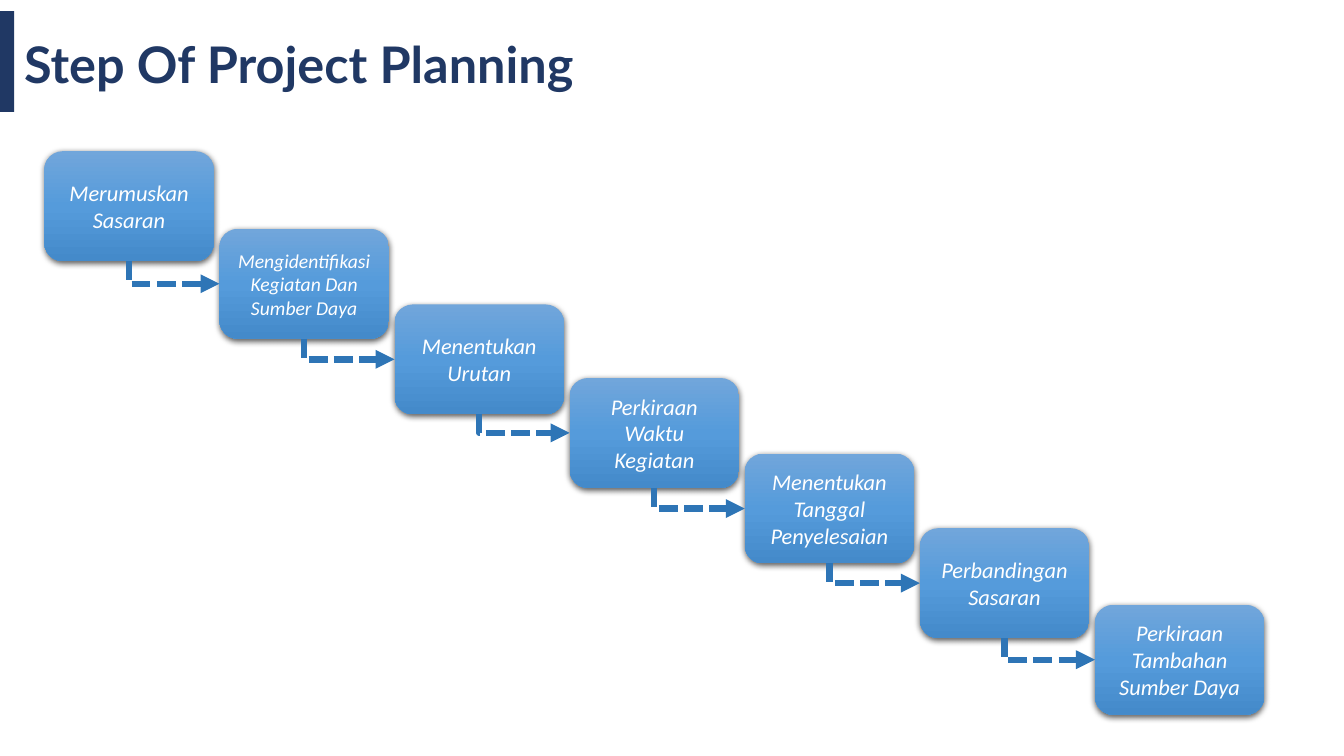
from itertools import pairwise

from lxml.etree import SubElement
from pptx import Presentation
from pptx.dml.color import RGBColor
from pptx.enum.dml import MSO_LINE
from pptx.enum.shapes import MSO_CONNECTOR, MSO_SHAPE
from pptx.enum.text import MSO_ANCHOR as ANCHOR, PP_ALIGN as ALIGN
from pptx.oxml.ns import qn
from pptx.util import Inches, Pt

COLORS = {"navy": "203864", "white": "FFFFFF", "arrow": "2E75B6", "shadow": "000000"}
BOX_GRADIENT = {0: "71A6DB", 50: "559BDB", 100: "448ACA"}

# Top edge, text size and wording of each step
STEPS = [
    (1.5, 16, "Merumuskan Sasaran"),
    (2.27, 14, "Mengidentifikasi Kegiatan Dan Sumber Daya"),
    (3.02, 16, "Menentukan Urutan"),
    (3.75, 16, "Perkiraan Waktu Kegiatan"),
    (4.5, 16, "Menentukan Tanggal Penyelesaian"),
    (5.24, 16, "Perbandingan Sasaran"),
    (6, 16, "Perkiraan Tambahan Sumber Daya"),
]
FIRST_LEFT, LAST_LEFT = 0.44, 10.86
STEP_X = (LAST_LEFT - FIRST_LEFT) / (len(STEPS) - 1)
BOX_W, BOX_H = 1.68, 1.09
BOTTOM_SITE, LEFT_SITE = 2, 1


def rgb(name):
    return RGBColor.from_string(COLORS[name])


def add_xml(parent, tag, **attrs):
    return SubElement(parent, qn(tag), {k: str(v) for k, v in attrs.items()})


class StairSlide:
    def __init__(self, prs):
        self.s = prs.slides.add_slide(prs.slide_layouts[6])

    def style_text(self, p, font, size, color, bold=False, italic=False):
        for r in p.runs:
            r.font.name, r.font.size = font, Pt(size)
            r.font.bold, r.font.italic = bold, italic
            r.font.color.rgb = rgb(color)

    def accent_bar(self, x, y, w, h):
        sp = self.s.shapes.add_shape(
            MSO_SHAPE.RECTANGLE, Inches(x), Inches(y), Inches(w), Inches(h))
        sp.shadow.inherit = False
        sp.fill.solid()
        sp.fill.fore_color.rgb = rgb("navy")
        sp.line.fill.background()

    def title(self, x, y, w, h, text):
        tf = self.s.shapes.add_textbox(
            Inches(x), Inches(y), Inches(w), Inches(h)).text_frame
        tf.word_wrap = True
        tf.vertical_anchor = ANCHOR.BOTTOM
        tf.text = text
        p = tf.paragraphs[0]
        p.line_spacing, p.space_after = 0.9, Pt(6)
        self.style_text(p, "Lato", 36, "navy", bold=True)

    def step_box(self, x, y, size, text):
        sp = self.s.shapes.add_shape(
            MSO_SHAPE.ROUNDED_RECTANGLE, Inches(x), Inches(y), Inches(BOX_W), Inches(BOX_H))
        sp.line.fill.background()
        sp.shadow.inherit = False
        spPr = sp._element.spPr

        # Three-stop gradient running downwards
        sp.fill.gradient()
        sp.fill.gradient_angle = 270
        stops = spPr.find(qn("a:gradFill")).find(qn("a:gsLst"))
        for stop in list(stops):
            stops.remove(stop)
        for pos, color in BOX_GRADIENT.items():
            add_xml(add_xml(stops, "a:gs", pos=pos * 1000), "a:srgbClr", val=color)

        # Soft shadow below the box
        shadow = add_xml(spPr.find(qn("a:effectLst")), "a:outerShdw", blurRad=Pt(4.5),
                         dist=Pt(1.5), dir=5400000, algn="ctr", rotWithShape=0)
        add_xml(add_xml(shadow, "a:srgbClr", val=COLORS["shadow"]), "a:alpha", val=63000)

        tf = sp.text_frame
        tf.word_wrap = True
        tf.vertical_anchor = ANCHOR.MIDDLE
        tf.text = text
        p = tf.paragraphs[0]
        p.alignment = ALIGN.CENTER
        self.style_text(p, "Calibri", size, "white", italic=True)
        return sp

    def step_arrow(self, start, end):
        x1, y1 = start.left + start.width // 2, start.top + start.height
        x2, y2 = end.left, end.top + end.height // 2
        c = self.s.shapes.add_connector(MSO_CONNECTOR.ELBOW, x1, y1, x2, y2)
        c.begin_connect(start, BOTTOM_SITE)
        c.end_connect(end, LEFT_SITE)
        c.line.color.rgb = rgb("arrow")
        c.line.width = Pt(4.5)
        c.line.dash_style = MSO_LINE.SQUARE_DOT

        # A single bend, down then right: a flipped frame turned by 270 degrees
        c.width, c.height = y2 - y1, x2 - x1
        c.left, c.top = (x1 + x2 - c.width) // 2, (y1 + y2 - c.height) // 2
        spPr = c._element.spPr
        spPr.find(qn("a:prstGeom")).set("prst", "bentConnector2")
        xfrm = spPr.find(qn("a:xfrm"))
        xfrm.set("rot", "16200000")
        xfrm.set("flipH", "1")
        add_xml(spPr.find(qn("a:ln")), "a:tailEnd", type="triangle")
        add_xml(spPr, "a:effectLst")


def main():
    prs = Presentation()
    prs.slide_width, prs.slide_height = Inches(13.33), Inches(7.5)
    slide = StairSlide(prs)

    # Heading
    slide.accent_bar(0, 0.11, 0.14, 1)
    slide.title(0.14, 0.22, 9.72, 0.77, "Step Of Project Planning")

    # Staircase of steps, each linked to the next
    boxes = [slide.step_box(FIRST_LEFT + i * STEP_X, top, size, text)
             for i, (top, size, text) in enumerate(STEPS)]
    for start, end in pairwise(boxes):
        slide.step_arrow(start, end)

    prs.save("out.pptx")


if __name__ == "__main__":
    main()
